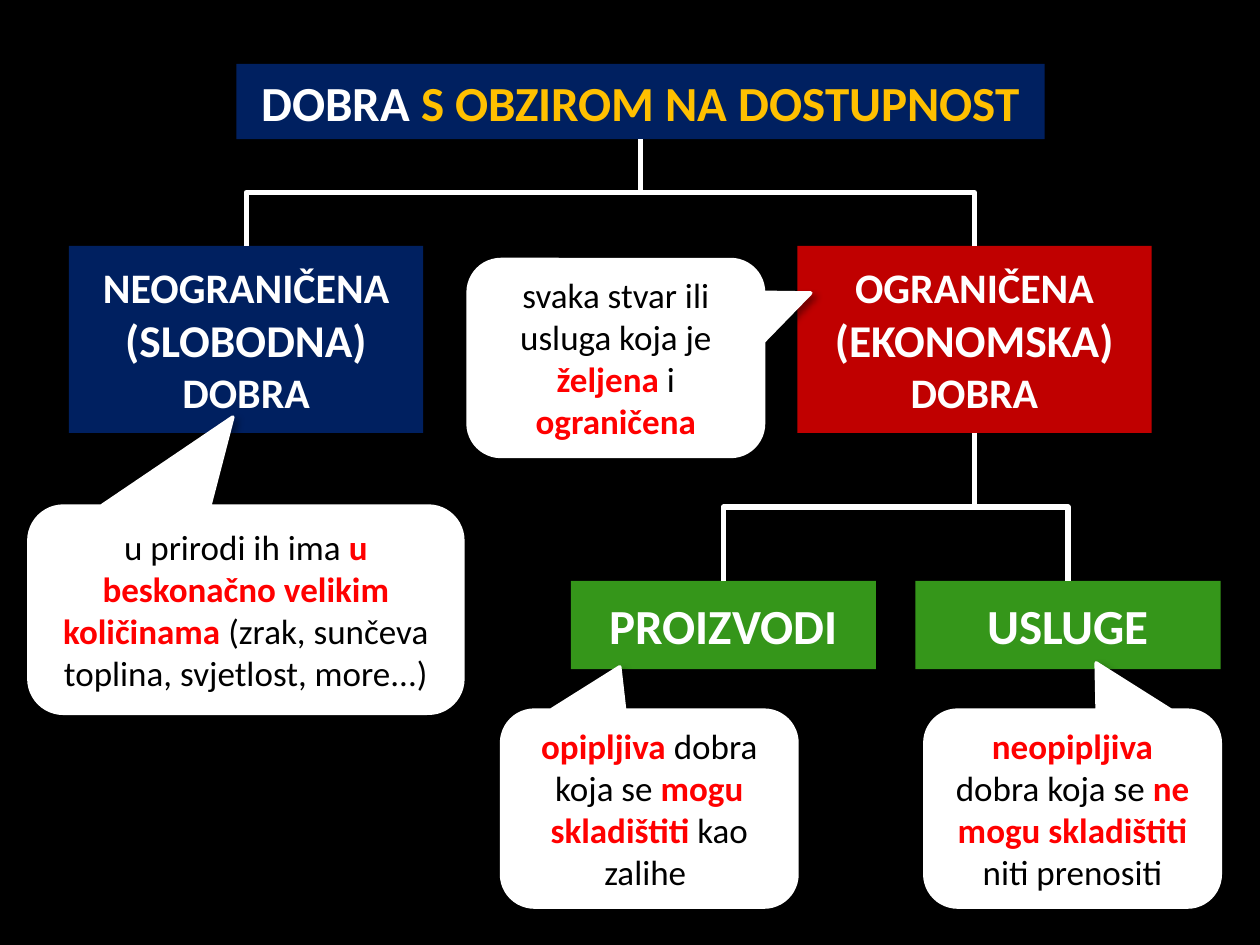
from lxml import etree
from pptx import Presentation
from pptx.dml.color import RGBColor
from pptx.enum.dml import MSO_THEME_COLOR
from pptx.enum.shapes import MSO_CONNECTOR, MSO_SHAPE
from pptx.enum.text import MSO_ANCHOR, MSO_AUTO_SIZE, PP_ALIGN
from pptx.oxml import parse_xml
from pptx.oxml.ns import nsdecls, qn
from pptx.util import Pt

RECT, CALLOUT = MSO_SHAPE.RECTANGLE, MSO_SHAPE.ROUNDED_RECTANGULAR_CALLOUT
ELBOW = MSO_CONNECTOR.ELBOW
CENTER, MIDDLE = PP_ALIGN.CENTER, MSO_ANCHOR.MIDDLE
TOP_SITE, BOTTOM_SITE = 0, 2

COLORS = {
    "black": "000000", "white": "FFFFFF", "navy": "002060", "gold": "FFC000",
    "crimson": "C00000", "green": "35961A", "red": "FF0000",
}
SHADOW = (
    f'<a:effectLst {nsdecls("a")}><a:outerShdw blurRad="50800" dist="38100" '
    'dir="2700000" algn="tl" rotWithShape="0"><a:srgbClr val="000000">'
    '<a:alpha val="40000"/></a:srgbClr></a:outerShdw></a:effectLst>'
)


def rgb(name):
    return RGBColor.from_string(COLORS[name])


def fill_box(sp, fill, runs):
    """Fill a shape and write centred runs of (text, size, color, bold)."""
    sp.fill.solid()
    sp.fill.fore_color.rgb = rgb(fill)
    tf = sp.text_frame
    tf.word_wrap = True
    tf.auto_size = MSO_AUTO_SIZE.NONE
    tf.vertical_anchor = MIDDLE
    p = tf.paragraphs[0]
    p.alignment = CENTER
    p.font.name = "Calibri"
    for text, size, color, bold in runs:
        r = p.add_run()
        r.text = text
        r.font.name = "Calibri"
        r.font.size = Pt(size)
        r.font.bold = bold
        r.font.color.rgb = rgb(color)


prs = Presentation()
prs.slide_width, prs.slide_height = Pt(720), Pt(540)
s = prs.slides.add_slide(prs.slide_layouts[5])
s.background.fill.solid()
s.background.fill.fore_color.rgb = rgb("black")

# Title
title = s.shapes.title
title.left, title.top, title.width, title.height = Pt(135), Pt(36.5), Pt(462), Pt(43)
fill_box(title, "navy", [
    ("DOBRA ", 28, "white", True),
    ("S OBZIROM NA DOSTUPNOST", 28, "gold", True),
])

# Tree boxes: left, top, width, height, fill, (text, size) runs
boxes = {"title": title}
for name, x, y, w, h, fill, runs in [
    ("free", 39.4, 140.6, 202.5, 106.8, "navy",
     [("NEOGRANIČENA ", 24), ("(SLOBODNA) ", 26), ("DOBRA", 24)]),
    ("economic", 455.6, 140.6, 202.5, 106.8, "crimson",
     [("OGRANIČENA ", 24), ("(EKONOMSKA) ", 26), ("DOBRA", 24)]),
    ("products", 326.2, 332, 174.4, 50.4, "green", [("PROIZVODI", 28)]),
    ("services", 523.1, 332, 174.4, 50.4, "green", [("USLUGE", 28)]),
]:
    sp = s.shapes.add_shape(RECT, Pt(x), Pt(y), Pt(w), Pt(h))
    sp.shadow.inherit = False
    sp.line.fill.background()
    fill_box(sp, fill, [(text, size, "white", True) for text, size in runs])
    boxes[name] = sp

# Elbows leave the parent downwards, so each one is turned about its centre
for parent, child in [("title", "free"), ("title", "economic"),
                      ("economic", "products"), ("economic", "services")]:
    a, b = boxes[parent], boxes[child]
    x1, y1 = a.left + a.width // 2, a.top + a.height
    x2, y2 = b.left + b.width // 2, b.top
    drop, spread = y2 - y1, abs(x2 - x1)
    c = s.shapes.add_connector(ELBOW, x1, y1, x2, y2)
    c.begin_connect(a, BOTTOM_SITE)
    c.end_connect(b, TOP_SITE)
    c.left, c.top = (x1 + x2 - drop) // 2, (y1 + y2 - spread) // 2
    c.width, c.height = drop, spread
    to_right = x2 > x1
    xfrm = c.element.spPr.find(qn("a:xfrm"))
    xfrm.set("rot", str((270 if to_right else 90) * 60000))
    xfrm.set("flipH", "1" if to_right else "0")
    c.line.color.rgb = rgb("white")
    c.line.width = Pt(3)
    etree.SubElement(c.element.spPr, qn("a:effectLst"))

# Callouts: left, top, width, height, pointer, (text, highlighted) runs
for x, y, w, h, pointer, runs in [
    (16.5, 289.2, 248, 118.4, (-0.03, -0.93),
     [("u prirodi ih ima ", False), ("u beskonačno velikim količinama ", True),
      ("(zrak, sunčeva toplina, svjetlost, more...)", False)]),
    (267.5, 148.3, 168.8, 112.5, (0.66, -0.33),
     [("svaka stvar ili usluga koja je ", False), ("željena ", True),
      ("i ", False), ("ograničena", True)]),
    (286.6, 405.8, 168.8, 112.5, (-0.1, -0.72),
     [("opipljiva ", True), ("dobra koja se ", False),
      ("mogu skladištiti ", True), ("kao zalihe ", False)]),
    (528.5, 405.8, 168.8, 112.5, (0.08, -0.74),
     [("neopipljiva ", True), ("dobra koja se ", False),
      ("ne mogu skladištiti ", True), ("niti prenositi", False)]),
]:
    sp = s.shapes.add_shape(CALLOUT, Pt(x), Pt(y), Pt(w), Pt(h))
    sp.adjustments[0], sp.adjustments[1] = pointer
    sp.line.color.rgb = rgb("white")
    sp.line.width = Pt(2)
    fill_box(sp, "white", [(text, 20, "red" if key else "black", key)
                           for text, key in runs])
    sp.element.spPr.append(parse_xml(SHADOW))

prs.save("out.pptx")
